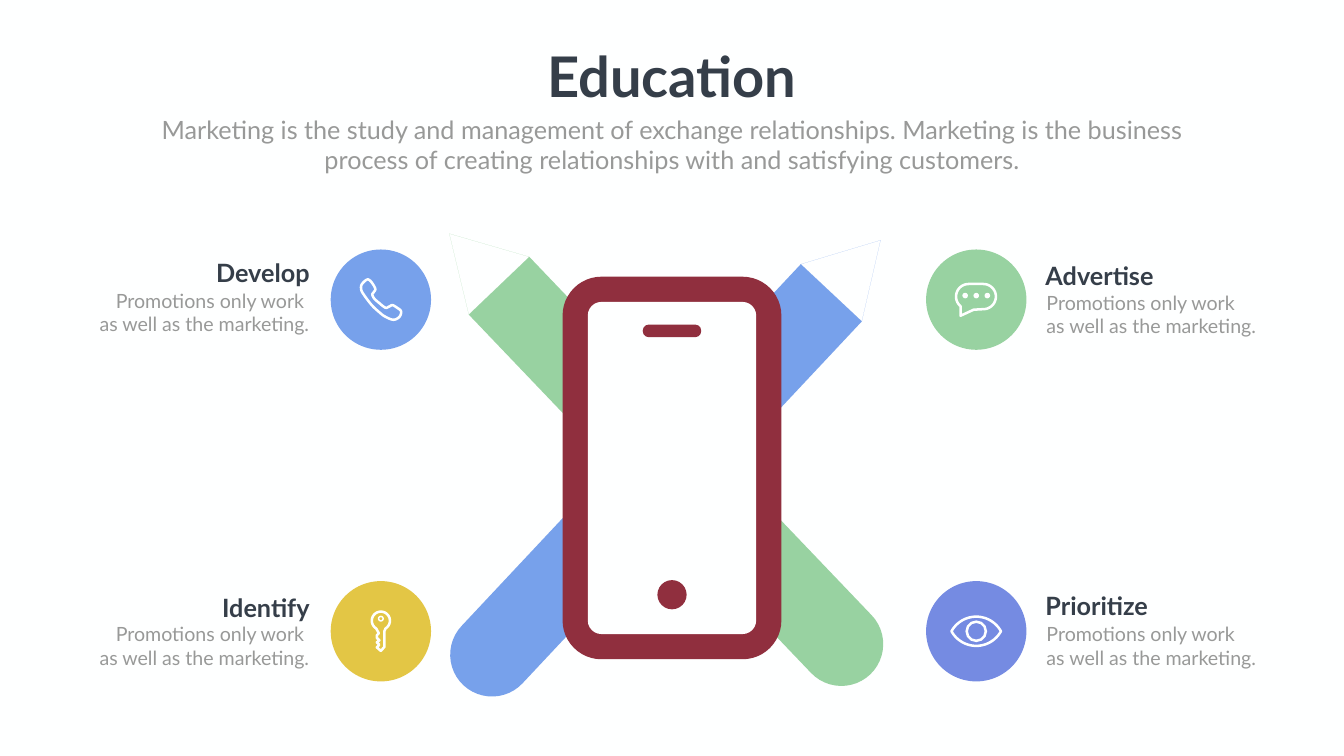
from math import atan2, cos, radians, sin, degrees

from pptx import Presentation
from pptx.dml.color import RGBColor
from pptx.enum.shapes import MSO_SHAPE
from pptx.enum.text import MSO_ANCHOR, MSO_AUTO_SIZE, PP_ALIGN
from pptx.util import Emu, Pt

PX = 9144  # EMU per px, 100 px to the inch
WHITE, WINE, INK, GREY = "FEFFFF", "902F3E", "353E49", "989998"
GREEN, BLUE, VIOLET, YELLOW = "98D2A1", "77A1EB", "758BE2", "E3C645"
DISC = 199
STROKE = 5

HEADING = {"name": "Lato", "size": Pt(36), "bold": True}
DETAIL = {"name": "Lato", "size": Pt(28), "bold": False}
TITLE = {"name": "Lato", "size": Pt(80), "bold": True}
INTRO = {"name": "Lato", "size": Pt(36), "bold": False}

HANDSET = [(-23, -39), (-29, -39), (-38, -30), (-39, -20), (-34, -10), (-18, 11),
           (-2, 26), (9, 34), (25, 40), (37, 34), (40, 23), (32, 16), (23, 11),
           (16, 14), (9, 16), (-3, 7), (-13, -2), (-17, -10), (-14, -15),
           (-11, -21), (-16, -31)]
KEY_TEETH = [(-4, 4), (-8, 8), (-8, 13), (-3, 18), (-8, 22), (-3, 27),
             (-8, 32), (0, 39), (7, 31), (7, 0)]


def px(value):
    return Emu(round(value * PX))


def color(hex_value):
    return RGBColor.from_string(hex_value)


def paint(shape, fill=None, line=None, width=STROKE):
    shape.shadow.inherit = False
    if fill:
        shape.fill.solid()
        shape.fill.fore_color.rgb = color(fill)
    else:
        shape.fill.background()
    if line:
        shape.line.color.rgb = color(line)
        shape.line.width = px(width)
    else:
        shape.line.fill.background()


def preset(slide, kind, box, radius=None, **look):
    shape = slide.shapes.add_shape(kind, *map(px, box))
    if radius is not None:
        shape.adjustments[0] = radius / min(box[2:])
    paint(shape, **look)


def dot(slide, x, y, diameter, **look):
    """Draw a circle around its centre."""
    box = (x - diameter / 2, y - diameter / 2, diameter, diameter)
    preset(slide, MSO_SHAPE.OVAL, box, **look)


def outline(slide, points, x=0, y=0, **look):
    """Draw a closed freeform whose points are relative to x, y."""
    corners = [(px(x + dx), px(y + dy)) for dx, dy in points]
    builder = slide.shapes.build_freeform(*corners[0], scale=1)
    builder.add_line_segments(corners[1:], close=True)
    paint(builder.convert_to_shape(), **look)


def arc(x, y, radius, start, end, steps=24):
    """Points on a clockwise arc, angles in degrees."""
    angles = [radians(start + (end - start) * i / steps) for i in range(steps + 1)]
    return [(x + radius * cos(a), y + radius * sin(a)) for a in angles]


def smooth(points, steps=6):
    """Catmull-Rom curve through a closed ring of points."""
    def blend(a, b, c, d, t):
        return b + t / 2 * (c - a + t * (2 * a - 5 * b + 4 * c - d
                                         + t * (3 * b - a - 3 * c + d)))
    curve = []
    for i in range(len(points)):
        ring = [points[(i + k) % len(points)] for k in (-1, 0, 1, 2)]
        curve += [tuple(blend(*axis, s / steps) for axis in zip(*ring))
                  for s in range(steps)]
    return curve


def phone_icon(slide, x, y):
    outline(slide, smooth(HANDSET), x, y, line=WHITE)


def chat_icon(slide, x, y):
    bubble = arc(-15, -6, 25, 130, 270) + arc(14, -6, 25, 270, 450)
    outline(slide, bubble + [(-5, 20), (-31, 32)], x, y, line=WHITE)
    for dx in (-22, 0, 22):
        dot(slide, x + dx, y - 8, 11, fill=WHITE)


def key_icon(slide, x, y):
    outline(slide, arc(0, -21, 18, 121, 419)[::1] + KEY_TEETH[::-1], x, y, line=WHITE)
    dot(slide, x, y - 25, 9, line=WHITE, width=3)


def eye_icon(slide, x, y):
    lids = arc(0, 27, 56, 209, 331) + arc(0, -27, 56, 29, 151)
    outline(slide, lids, x, y, line=WHITE)
    dot(slide, x, y, 38, line=WHITE)


def pencil(slide, nose, cap, fill, half_width=83, tip_length=143):
    """Draw a pencil from the middle of its nose to the centre of its round cap."""
    angle = atan2(cap[1] - nose[1], cap[0] - nose[0])
    across = (half_width * sin(angle), -half_width * cos(angle))
    sides = [(nose[0] + sign * across[0], nose[1] + sign * across[1]) for sign in (1, -1)]
    turn = degrees(angle)
    outline(slide, sides + arc(*cap, half_width, turn + 90, turn - 90), fill=fill)
    tip = (nose[0] - tip_length * cos(angle), nose[1] - tip_length * sin(angle))
    # A ring traced twice leaves the tip hollow
    outline(slide, [tip, *sides] * 2, fill=fill)


def handheld(slide, left, top, width, height):
    rounded, rim = MSO_SHAPE.ROUNDED_RECTANGLE, 50
    preset(slide, rounded, (left, top, width, height), 77, fill=WINE)
    preset(slide, rounded, (left + rim, top + rim, width - 2 * rim, height - 2 * rim),
           27, fill=WHITE)
    middle = left + width / 2
    dot(slide, middle, top + 631, 58, fill=WINE)
    preset(slide, rounded, (middle - 58, top + 95, 116, 25), 12, fill=WINE)


def write(shape, box, lines, style, ink, align, wrap=True):
    shape.left, shape.top, shape.width, shape.height = map(px, box)
    frame = shape.text_frame
    frame.text = "\n".join(lines)
    layout = {"word_wrap": wrap, "auto_size": MSO_AUTO_SIZE.NONE,
              "vertical_anchor": MSO_ANCHOR.TOP}
    for key, value in layout.items():
        setattr(frame, key, value)
    for paragraph in frame.paragraphs:
        paragraph.alignment = align
        paragraph.space_before = Pt(0)
        for key, value in style.items():
            setattr(paragraph.font, key, value)
        paragraph.font.color.rgb = color(ink)


def header(slide, left, top, width):
    write(slide.shapes.title, (left + 803, top, 524, 145), ["Education"],
          TITLE, INK, PP_ALIGN.CENTER, wrap=False)
    intro = ("Marketing is the study and management of exchange relationships. Marketing "
             "is the business process of creating relationships with and satisfying customers.")
    write(slide.placeholders[1], (left, top + 144, width, 131), [intro],
          INTRO, GREY, PP_ALIGN.CENTER)


def feature(slide, left, top, text_on_left, name, fill, icon, name_drop, detail_drop):
    """Draw a disc with its icon, and the name and detail beside it."""
    x, y = left + DISC / 2, top + DISC / 2
    dot(slide, x, y, DISC, fill=fill)
    icon(slide, x, y)
    if text_on_left:
        name_left, detail_left, align = left - 293, left - 484, PP_ALIGN.RIGHT
        detail = ["Promotions only work ", "as well as the marketing."]
    else:
        name_left, detail_left, align = left + 227, left + 229, PP_ALIGN.LEFT
        detail = ["Promotions only work", "as well as the marketing."]
    for box, lines, style, ink in (
            ((name_left, top + name_drop, 261, 71), [name], HEADING, INK),
            ((detail_left, top + detail_drop, 451, 104), detail, DETAIL, GREY)):
        write(slide.shapes.add_textbox(0, 0, 0, 0), box, lines, style, ink, align)


def main():
    deck = Presentation()
    deck.slide_width, deck.slide_height = px(2666), px(1500)
    slide = deck.slides.add_slide(deck.slide_layouts[0])
    slide.background.fill.solid()
    slide.background.fill.fore_color.rgb = color(WHITE)

    header(slide, 268, 78, 2130)
    pencil(slide, (990, 567), (1669, 1278), GREEN)
    pencil(slide, (1649, 581), (976, 1299), BLUE)
    handheld(slide, 1116, 549, 434, 759)

    left, right, upper, lower = 656, 1837, 495, 1153
    feature(slide, left, upper, True, "Develop", BLUE, phone_icon, 11, 73)
    feature(slide, left, lower, True, "Identify", YELLOW, key_icon, 17, 76)
    feature(slide, right, upper, False, "Advertise", GREEN, chat_icon, 17, 77)
    feature(slide, right, lower, False, "Prioritize", VIOLET, eye_icon, 14, 76)
    deck.save("out.pptx")


if __name__ == "__main__":
    main()
